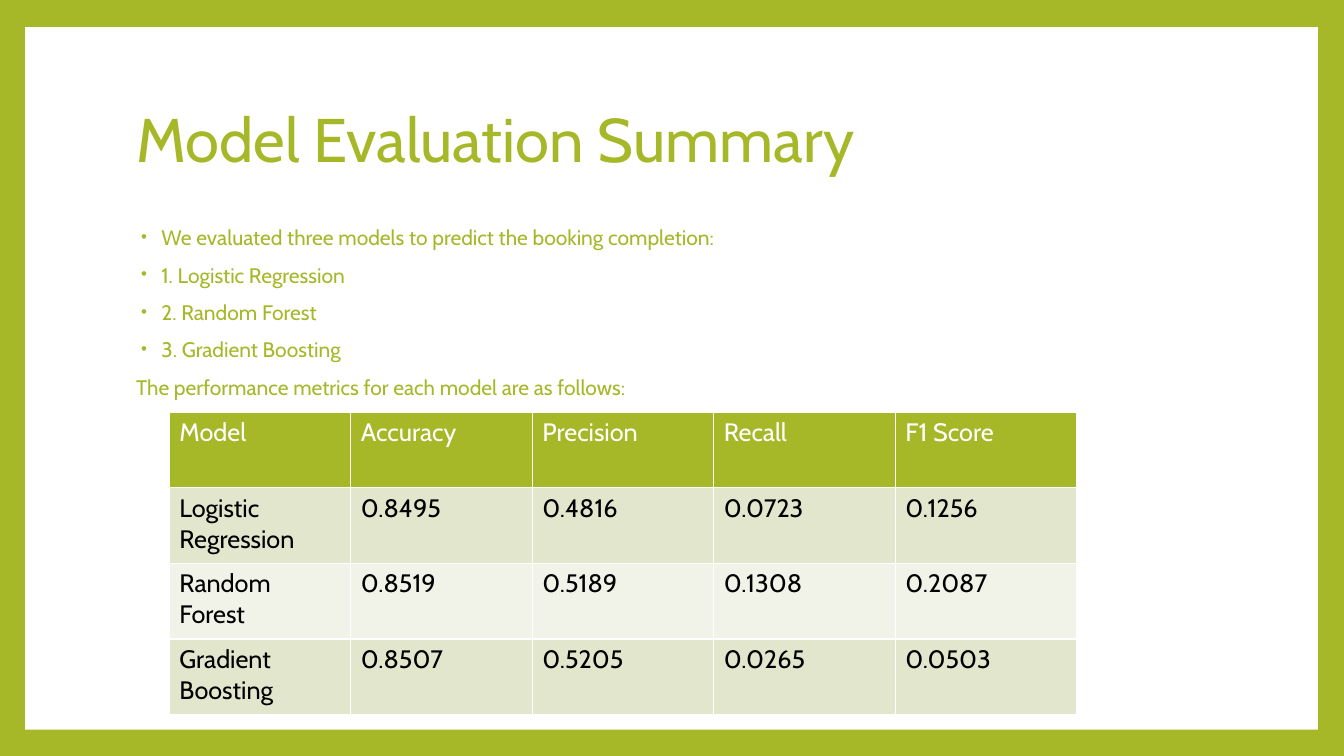
from lxml import etree
from pptx import Presentation
from pptx.dml.color import RGBColor
from pptx.enum.shapes import MSO_SHAPE
from pptx.enum.text import MSO_ANCHOR, MSO_AUTO_SIZE, PP_ALIGN
from pptx.oxml.ns import qn
from pptx.util import Emu, Pt

RECT = MSO_SHAPE.RECTANGLE
TOP, MIDDLE = MSO_ANCHOR.TOP, MSO_ANCHOR.MIDDLE
NO_FIT = MSO_AUTO_SIZE.NONE
LEFT = PP_ALIGN.LEFT

INTRO = [
    "We evaluated three models to predict the booking completion:",
    "1. Logistic Regression",
    "2. Random Forest",
    "3. Gradient Boosting",
]
METRICS_LEAD = "The performance metrics for each model are as follows:"
METRICS = [
    ["Model", "Accuracy", "Precision", "Recall", "F1 Score"],
    ["Logistic Regression", "0.8495", "0.4816", "0.0723", "0.1256"],
    ["Random Forest", "0.8519", "0.5189", "0.1308", "0.2087"],
    ["Gradient Boosting", "0.8507", "0.5205", "0.0265", "0.0503"],
]


def px(n):
    return Emu(n * 9144)


def rgb(value):
    return RGBColor.from_string(value)


def add_xml(parent, tag, **attrs):
    return etree.SubElement(parent, qn(tag), attrs)


class Deck:
    font = "Cabin"
    green, white, black = "A6B727", "FFFFFF", "000000"
    bands = ["E1E6CD", "F1F3E8"]

    def __init__(self, width, height):
        self.prs = Presentation()
        self.prs.slide_width, self.prs.slide_height = px(width), px(height)
        self.s = self.prs.slides.add_slide(self.prs.slide_layouts[1])
        fill = self.s.background.fill
        fill.solid()
        fill.fore_color.rgb = rgb(self.green)

    def style(self, p, size, color):
        p.alignment = LEFT
        for r in p.runs:
            r.font.name = self.font
            r.font.size = Pt(size)
            r.font.bold = False
            r.font.color.rgb = rgb(color)

    def place(self, sp, box, anchor):
        sp.left, sp.top, sp.width, sp.height = map(px, box)
        tf = sp.text_frame
        tf.word_wrap = True
        tf.auto_size = NO_FIT
        tf.vertical_anchor = anchor
        return tf

    def panel(self, *box):
        sp = self.s.shapes.add_shape(RECT, *map(px, box))
        sp.shadow.inherit = False
        sp.fill.solid()
        sp.fill.fore_color.rgb = rgb(self.white)
        sp.line.fill.background()
        self.s.shapes.element.insert(2, sp.element)

    def title(self, text, *box):
        tf = self.place(self.s.shapes.title, box, MIDDLE)
        tf.text = text
        p = tf.paragraphs[0]
        p.line_spacing = 0.9
        self.style(p, 44, self.green)

    def body(self, bullets, closing, *box):
        tf = self.place(self.s.placeholders[1], box, TOP)
        tf.text = "\n".join(bullets + [closing])
        for i, p in enumerate(tf.paragraphs):
            p.line_spacing = 0.7
            p.space_before = Pt(14)
            self.style(p, 15, self.green)
            self.bullet(p, i < len(bullets))

    def bullet(self, p, shown):
        pPr = p._p.get_or_add_pPr()
        pPr.set("marL", str(px(25) if shown else 0))
        pPr.set("indent", str(px(-20) if shown else 0))
        if shown:
            add_xml(add_xml(pPr, "a:buClr"), "a:srgbClr", val=self.green)
            add_xml(pPr, "a:buSzPct", val="80000")
            add_xml(pPr, "a:buFont", typeface="Arial")
            add_xml(pPr, "a:buChar", char="•")
        else:
            add_xml(pPr, "a:buNone")

    def table(self, rows, *box):
        shape = self.s.shapes.add_table(len(rows), len(rows[0]), *map(px, box))
        for i, values in enumerate(rows):
            fill = self.bands[(i - 1) % 2] if i else self.green
            color = self.black if i else self.white
            for j, text in enumerate(values):
                cell = shape.table.cell(i, j)
                cell.text = text
                cell.fill.solid()
                cell.fill.fore_color.rgb = rgb(fill)
                self.style(cell.text_frame.paragraphs[0], 18, color)
                self.borders(cell)

    def borders(self, cell):
        tcPr = cell._tc.get_or_add_tcPr()
        for i, side in enumerate("LRTB"):
            ln = add_xml(tcPr, "a:ln" + side, w=str(Pt(1)))
            add_xml(add_xml(ln, "a:solidFill"), "a:srgbClr", val=self.white)
            tcPr.insert(i, ln)


def main():
    deck = Deck(1333, 750)
    deck.panel(25, 27, 1282, 697)
    deck.title("Model Evaluation Summary", 125, 67, 1080, 148)
    deck.body(INTRO, METRICS_LEAD, 125, 225, 1080, 184)
    deck.table(METRICS, 168, 409, 900, 300)
    deck.prs.save("out.pptx")


if __name__ == "__main__":
    main()
